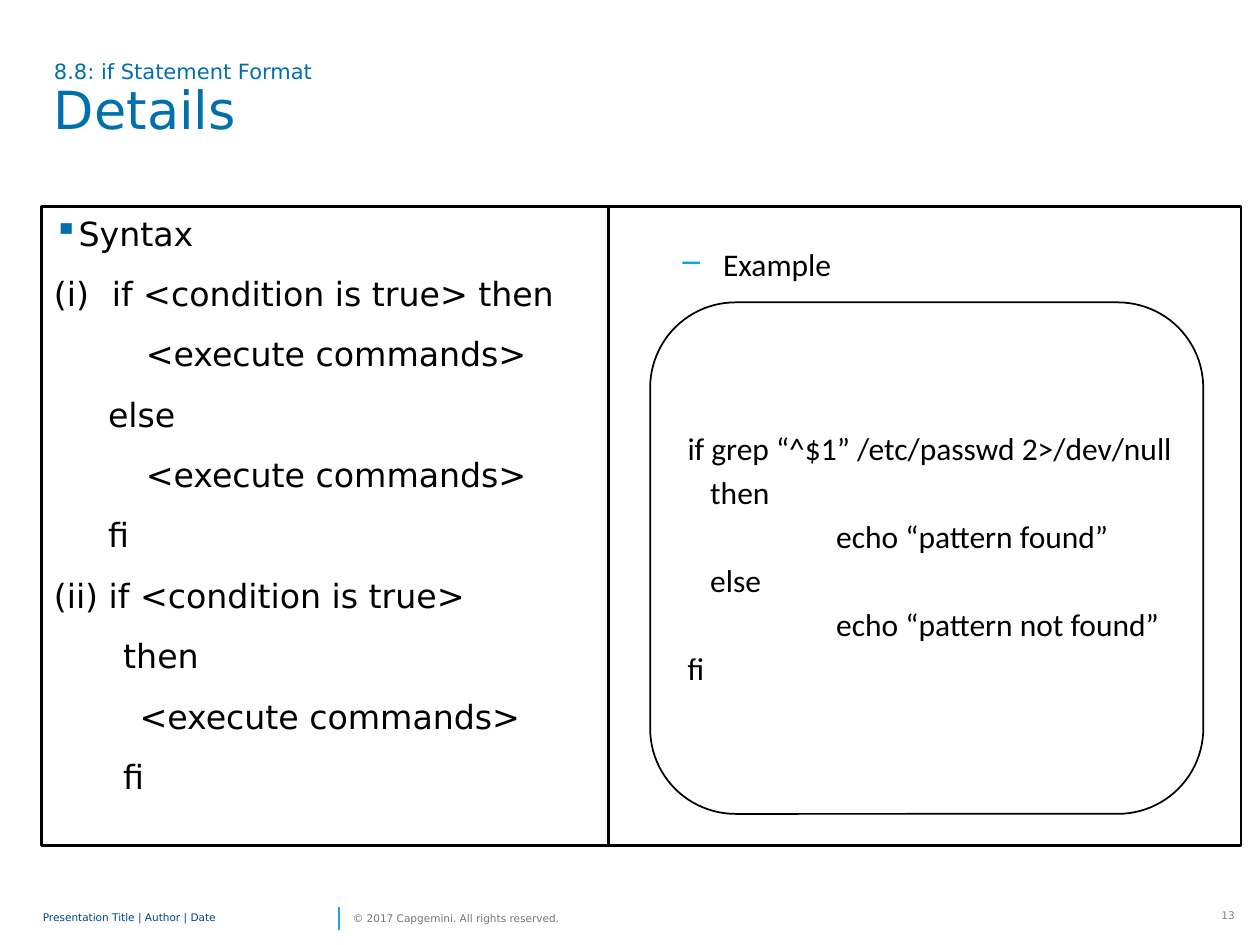
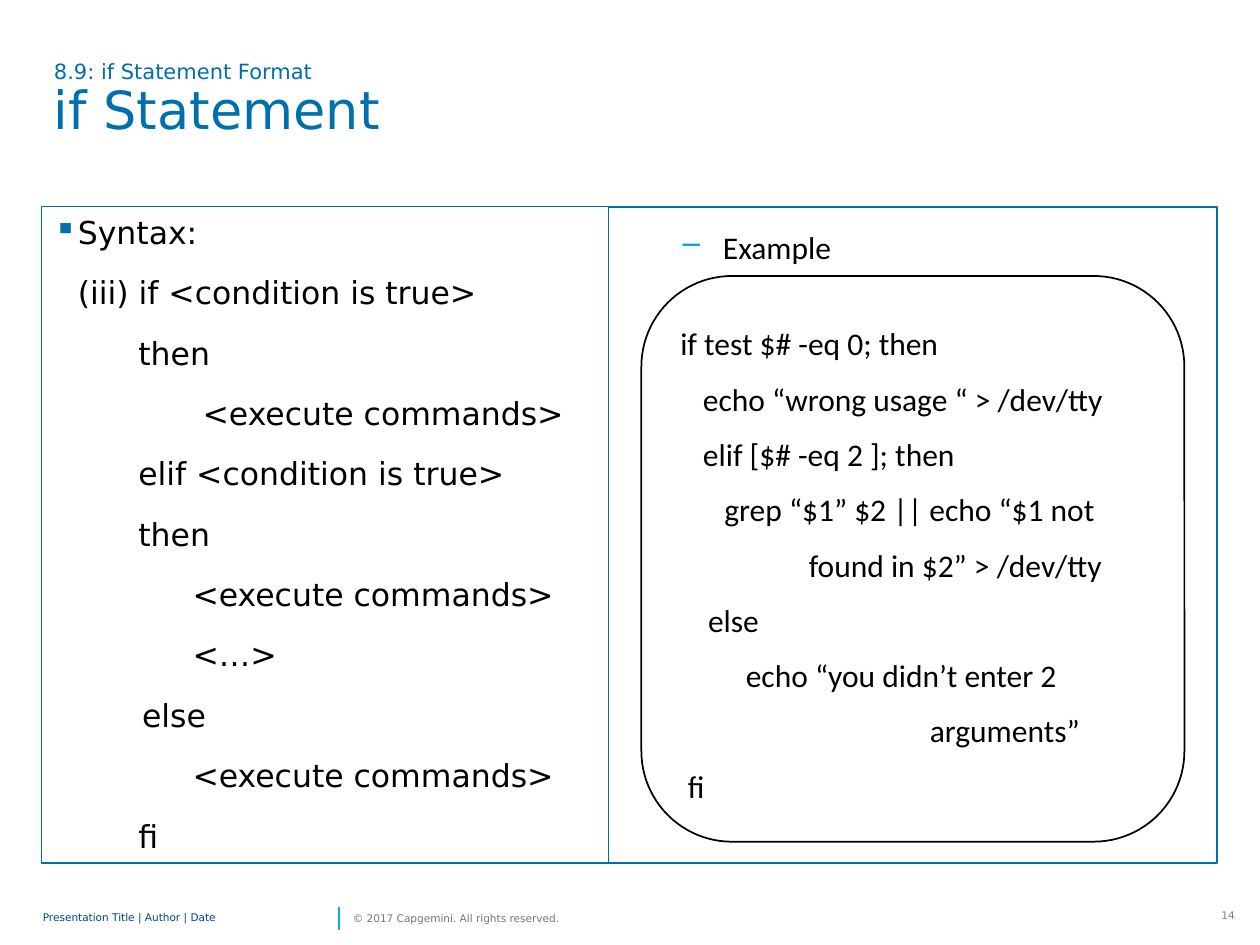
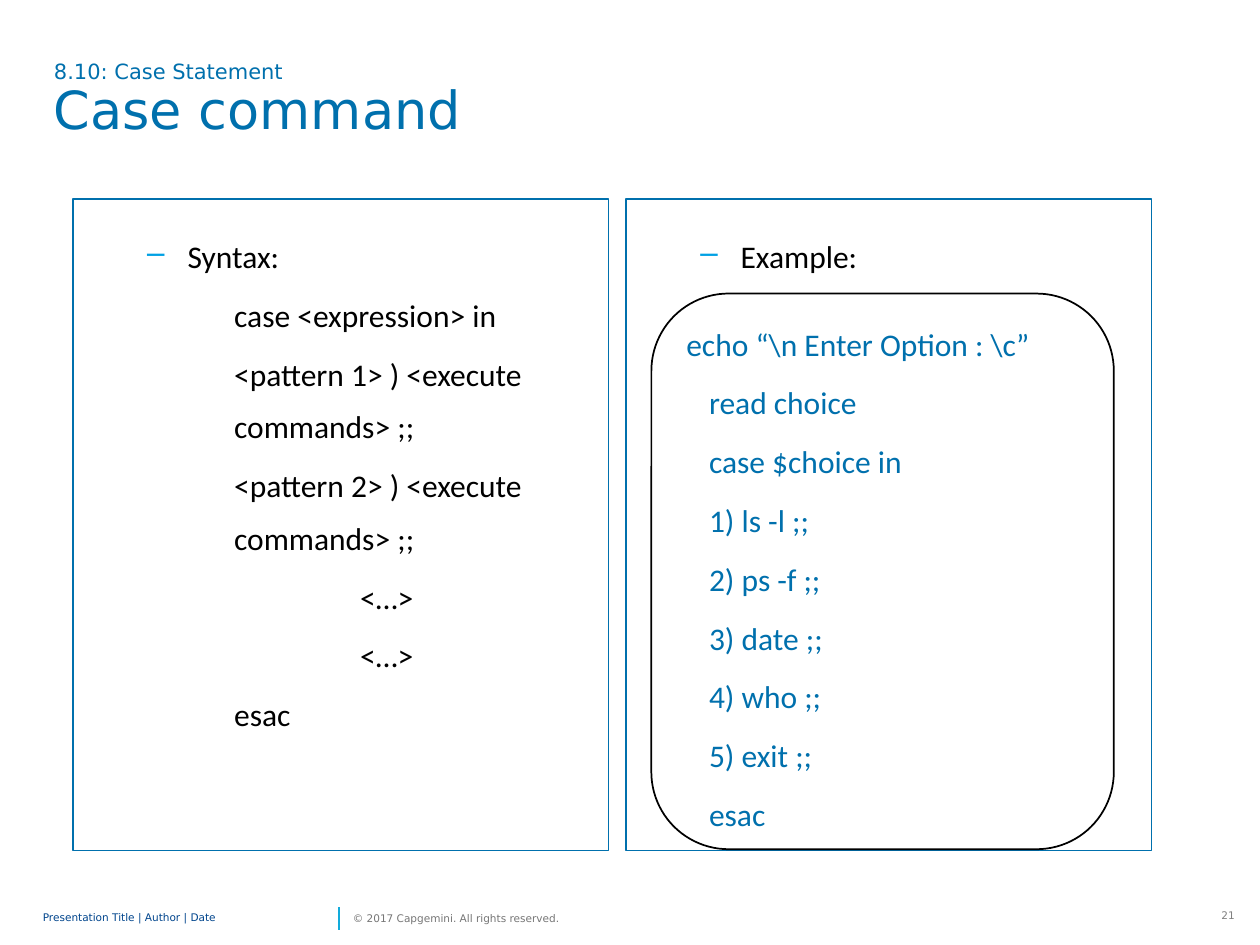
"""Build three slides on shell if and case statements."""
import pptx
import pptx.util
import pptx.dml.color
import pptx.enum.shapes
import pptx.enum.text
import pptx.oxml.ns
from lxml import etree

RGB = pptx.dml.color.RGBColor
Pt = pptx.util.Pt
SHAPE = pptx.enum.shapes.MSO_SHAPE
ANCHOR = pptx.enum.text.MSO_ANCHOR
ALIGN = pptx.enum.text.PP_ALIGN
qn = pptx.oxml.ns.qn

BLACK = RGB(0, 0, 0)
WHITE = RGB(255, 255, 255)
BLUE = RGB(0x00, 0x70, 0xAD)
SKY = RGB(0x00, 0xA1, 0xE4)
CYAN = RGB(0x12, 0xAB, 0xDB)
NAVY = RGB(0x00, 0x45, 0x8D)
GREY = RGB(0x76, 0x76, 0x76)
PALE = RGB(0x80, 0x80, 0x80)
SANS, CODE = "DejaVu Sans", "Calibri"
COLS, ROWS = 100, 75
PAD = (0.1, 0.05, 0.1, 0.05)


def write(tf, text, size=18, font=CODE, color=BLACK, indent=0, hang=0, bullet=None,
          bullet_color=BLUE, spacing=None, before=0, after=0, align=None):
    p = tf.paragraphs[0]
    if p.runs:
        p = tf.add_paragraph()
        p.space_before = Pt(before)
    p.space_after = Pt(after)
    p.line_spacing = spacing
    p.alignment = align
    pPr = p._p.get_or_add_pPr()
    pPr.set("marL", str(pptx.util.Inches(indent)))
    pPr.set("indent", str(-pptx.util.Inches(hang)))
    if bullet:
        clr = etree.SubElement(pPr, qn("a:buClr"))
        etree.SubElement(clr, qn("a:srgbClr"), val=str(bullet_color))
        etree.SubElement(pPr, qn("a:buChar"), char=bullet)
    r = p.add_run()
    r.text = text
    r.font.size, r.font.name = Pt(size), font
    r.font.color.rgb = color


class Deck:
    """Hold the presentation, its style and the current slide."""

    def __init__(self):
        self.prs = pptx.Presentation()
        self.prs.slide_width = pptx.util.Inches(10)
        self.prs.slide_height = pptx.util.Inches(7.5)
        self.s = None

    def place(self, col, row, cols, rows):
        w, h = self.prs.slide_width, self.prs.slide_height
        return (round(w * col / COLS), round(h * row / ROWS),
                round(w * cols / COLS), round(h * rows / ROWS))

    def frame(self, sp, pad=PAD, anchor=ANCHOR.TOP, wrap=True):
        tf = sp.text_frame
        tf.word_wrap, tf.vertical_anchor = wrap, anchor
        tf.margin_left, tf.margin_top, tf.margin_right, tf.margin_bottom = map(
            pptx.util.Inches, pad)
        return tf

    def label(self, at, pad=PAD, anchor=ANCHOR.TOP, wrap=True):
        return self.frame(self.s.shapes.add_textbox(*self.place(*at)), pad, anchor, wrap)

    def outline(self, kind, at, color, width):
        sp = self.s.shapes.add_shape(kind, *self.place(*at))
        sp.shadow.inherit = False
        sp.fill.background()
        sp.line.color.rgb, sp.line.width = color, Pt(width)
        return sp

    def slide(self, topic, title, number):
        self.s = self.prs.slides.add_slide(self.prs.slide_layouts[6])
        self.footer(number)
        tf = self.label((3.3, 4.4, 89.8, 9.5))
        for text, size in ((topic, 12), (title, 30)):
            write(tf, text, size, SANS, BLUE, spacing=0.9)

    def footer(self, number):
        x, y, _, h = self.place(26.9, 72, 0, 1.8)
        bar = self.s.shapes.add_connector(
            pptx.enum.shapes.MSO_CONNECTOR.STRAIGHT, x, y + h, x, y)
        bar.line.color.rgb, bar.line.width = CYAN, Pt(1)
        etree.SubElement(bar._element.spPr, qn("a:effectLst"))
        flat = (0, 0, 0, 0)
        write(self.label((3.4, 71.7, 23.2, 2.4), flat, ANCHOR.MIDDLE),
              "Presentation Title | Author | Date", 6, SANS, NAVY, spacing=0.85)
        write(self.label((28, 71.7, 18.2, 2.4), flat, ANCHOR.MIDDLE, False),
              "© 2017 Capgemini. All rights reserved.", 6, SANS, GREY)
        write(self.label((95.7, 71.7, 3, 1.8), (0.07, 0.04, 0.07, 0.04), wrap=False),
              str(number), 6, SANS, PALE, align=ALIGN.RIGHT)

    def syntax(self, at, heading, lines, size, color, width):
        tf = self.frame(self.outline(SHAPE.RECTANGLE, at, color, width))
        write(tf, heading, size, SANS, indent=0.19, hang=0.19, bullet="▪", after=4.5)
        for indent, text in lines:
            write(tf, text, size, SANS, indent=indent, hang=indent if "\t" in text else 0,
                  spacing=Pt(30), after=4.5)

    def panel(self, at, heading, color, width, lines=(), lead=40):
        tf = self.frame(self.outline(SHAPE.RECTANGLE, at, color, width))
        write(tf, heading, indent=0.81, hang=0.32, bullet="–", bullet_color=SKY,
              spacing=Pt(lead))
        for indent, text in lines:
            write(tf, text, indent=indent, spacing=Pt(30), before=3.6)

    def code(self, at, lines, spacing=None, color=BLACK):
        sp = self.outline(SHAPE.ROUNDED_RECTANGLE, at, BLACK, 1)
        sp.adjustments[0] = 0.167
        sp.fill.solid()
        sp.fill.fore_color.rgb = WHITE
        tf = self.frame(sp, (0.1, 0.05, 0, 0.05), ANCHOR.MIDDLE)
        for indent, text in lines:
            write(tf, text, color=color, indent=indent, spacing=spacing, before=3.6)


def main():
    d = Deck()

    d.slide("8.8: if Statement Format", "Details", 13)
    d.syntax((3.3, 16.4, 45, 50.7), "Syntax", [
        (0.46, "(i)\tif <condition is true> then"),
        (0.73, "<execute commands>"),
        (0.43, "else"),
        (0.73, "<execute commands>"),
        (0.43, "fi"),
        (0, "(ii) if <condition is true>"),
        (0.55, "then"),
        (0.68, "<execute commands>"),
        (0.55, "fi"),
    ], 19, BLACK, 1.5)
    d.panel((48.3, 16.4, 50.2, 50.7), "Example", BLACK, 1.5)
    d.code((51.6, 24, 43.9, 40.6), [
        (0, "if grep “^$1” /etc/passwd 2>/dev/null"),
        (0.18, "then"),
        (1.18, "echo “pattern found”"),
        (0.18, "else"),
        (1.18, "echo “pattern not found”"),
        (0, "fi"),
    ])

    d.slide("8.9: if Statement Format", "if Statement", 14)
    d.syntax((3.3, 16.4, 45, 52.1), "Syntax:", [
        (0.19, "(iii) if <condition is true>"),
        (0.67, "then"),
        (1.18, "<execute commands>"),
        (0.67, "elif <condition is true>"),
        (0.67, "then"),
        (1.1, "<execute commands>"),
        (1.1, "<…>"),
        (0.7, "else"),
        (1.1, "<execute commands>"),
        (0.67, "fi"),
    ], 18, BLUE, 0.75)
    d.panel((48.3, 16.4, 48.3, 52.1), "Example", BLUE, 1, lead=30)
    d.code((50.9, 21.9, 43.1, 44.9), [
        (0, "if test $# -eq 0; then"),
        (0.18, "echo “wrong usage “ > /dev/tty"),
        (0.18, "elif [$# -eq 2 ]; then"),
        (0.35, "grep “$1” $2 || echo “$1 not"),
        (1.02, "found in $2” > /dev/tty"),
        (0.22, "else"),
        (0.52, "echo “you didn’t enter 2"),
        (1.98, "arguments”"),
        (0.06, "fi"),
    ], Pt(28))

    d.slide("8.10: Case Statement", "Case command", 21)
    patterns = [(1.18, f"<pattern {n}> ) <execute commands> ;;") for n in (1, 2)]
    d.panel((5.8, 15.8, 42.5, 51.7), "Syntax:", BLUE, 1, [
        (1.18, "case <expression> in"),
        *patterns,
        (2.18, "<…>"),
        (2.18, "<…>"),
        (1.18, "esac"),
    ])
    d.panel((49.7, 15.8, 41.7, 51.7), "Example:", BLUE, 1)
    commands = ("ls -l", "ps -f", "date", "who", "exit")
    d.code((51.7, 23.3, 36.7, 44.1), [
        (0, "echo “\\n Enter Option : \\c”"),
        (0.18, "read choice"),
        (0.18, "case $choice in"),
        *((0.18, f"{n}) {command} ;;") for n, command in enumerate(commands, 1)),
        (0.18, "esac"),
    ], Pt(30), BLUE)

    d.prs.save("out.pptx")


if __name__ == "__main__":
    main()
